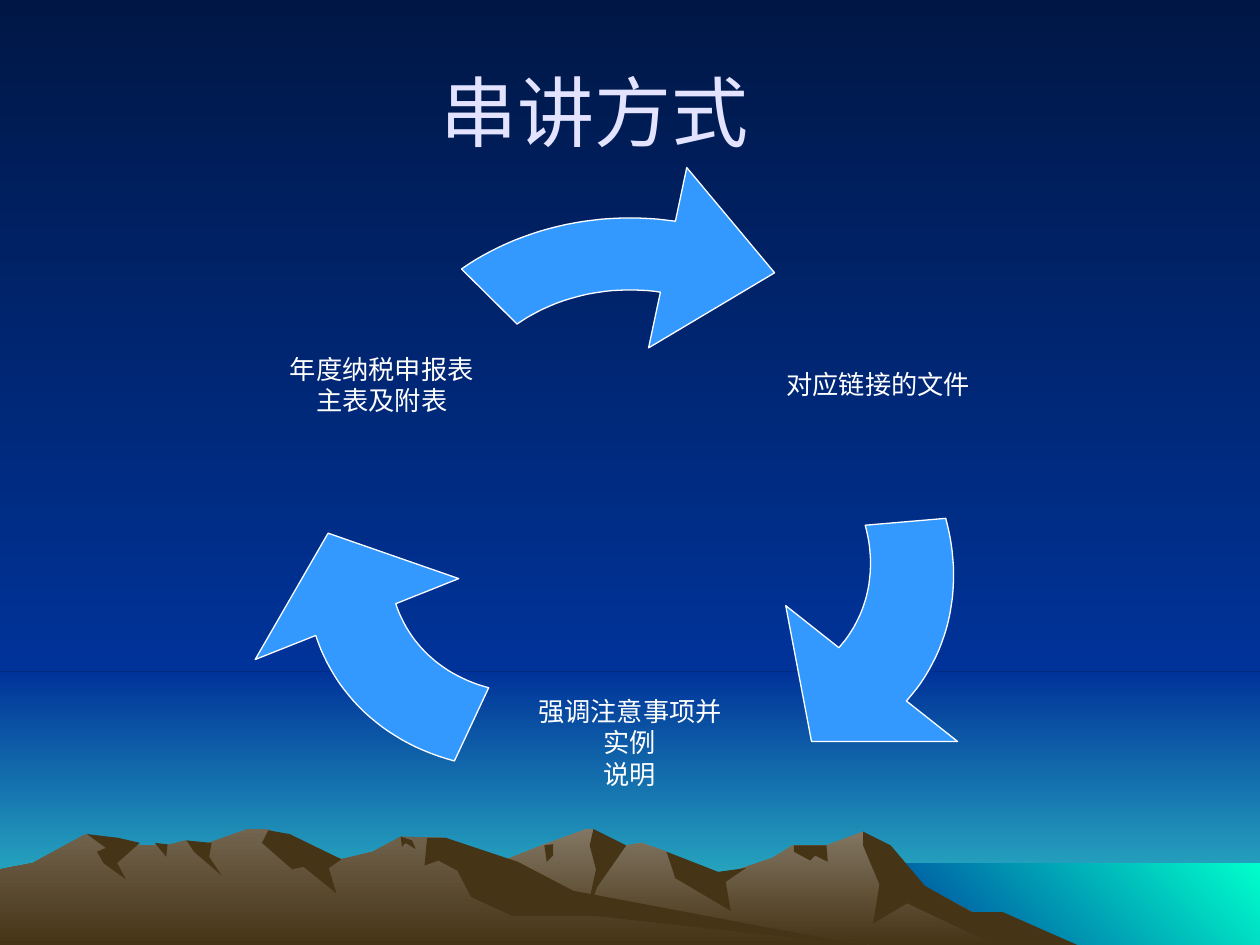
from dataclasses import dataclass
from math import cos, radians, sin

from pptx import Presentation
from pptx.dml.color import RGBColor
from pptx.enum.shapes import MSO_SHAPE
from pptx.enum.text import MSO_ANCHOR, PP_ALIGN
from pptx.util import Inches, Pt

RECTANGLE = MSO_SHAPE.RECTANGLE
CENTER = PP_ALIGN.CENTER
MIDDLE = MSO_ANCHOR.MIDDLE

NIGHT = RGBColor(0x00, 0x17, 0x46)
BLUE = RGBColor(0x00, 0x33, 0x99)
TEAL = RGBColor(0x33, 0xCC, 0xCC)
AQUA = RGBColor(0x00, 0xFF, 0xCC)
SLATE = RGBColor(0x83, 0x77, 0x63)
STONE = RGBColor(0x72, 0x64, 0x4E)
EARTH = RGBColor(0x46, 0x34, 0x16)
ARROW_BLUE = RGBColor(0x33, 0x99, 0xFF)
WHITE = RGBColor(0xFF, 0xFF, 0xFF)
LAVENDER = RGBColor(0xE3, 0xE3, 0xFF)

FONT = "Arial"
WIDTH, HEIGHT = 10, 7.5
HORIZON = 5.33
DOWNWARD = 270
TO_LOWER_LEFT = 225
UNITS = 1000  # outline units per inch

# Arrow outline on its ellipse: angles in degrees, radii as shares of the ellipse
TAIL, NECK, TIP = 130, 80, 53.6
INNER, OUTER = 0.67, 1
BARB_OUT, BARB_IN, TIP_RADIUS = 1.25, 0.41, 0.93
ARC_STEPS = 25
LONG, SHORT = 2.08, 1.73

Point = tuple[float, float]


@dataclass(frozen=True)
class Band:
    left: float
    top: float
    bottom: float
    start: RGBColor
    end: RGBColor
    angle: int = DOWNWARD


@dataclass(frozen=True)
class Ridge:
    points: list[Point]
    top_color: RGBColor = EARTH  # EARTH alone means a flat fill


@dataclass(frozen=True)
class CycleArrow:
    center_x: float
    center_y: float
    radius_x: float
    radius_y: float
    turn: int


@dataclass(frozen=True)
class Label:
    left: float
    top: float
    lines: list[str]
    width: float = 1.66
    height: float = 1.38
    size: int = 15
    color: RGBColor = WHITE
    left_inset: float = 0
    wrap: bool = False


BANDS = [
    Band(0, HORIZON, HEIGHT, BLUE, TEAL),
    Band(0, 0, HORIZON, NIGHT, BLUE),
    Band(6.83, 6.85, HEIGHT, AQUA, BLUE, TO_LOWER_LEFT),
]

RIDGES = [
    # Right-hand range and its shadows
    Ridge([(2.58, HEIGHT), (3.27, 7.09), (4.05, 6.81), (4.3, 6.71), (4.65, 6.58), (4.71, 6.58),
           (4.86, 6.73), (5.09, 6.69), (5.29, 6.76), (5.36, 6.9), (5.66, 6.97), (6.13, 6.81),
           (6.29, 6.71), (6.56, 6.71), (6.85, 6.6), (7.23, 6.98), (8.2, HEIGHT)], SLATE),
    Ridge([(6.85, 6.6), (7.07, 6.71), (7.34, 7.03), (7.71, 7.24), (7.96, 7.24), (8.55, HEIGHT),
           (7.9, HEIGHT), (7.2, 7.17), (6.93, 7.33), (6.98, 7.02), (6.85, 6.71)]),
    Ridge([(4.71, 6.58), (4.97, 6.71), (4.74, 7.04), (4.65, 7.27), (4.73, 6.9), (4.68, 6.71)]),
    Ridge([(5.29, 6.76), (5.7, 6.92), (5.92, 6.89), (5.76, 7), (5.8, 7.23), (5.36, 6.97)]),
    Ridge([(6.3, 6.71), (6.56, 6.71), (6.57, 6.84), (6.47, 6.79), (6.43, 6.83), (6.3, 6.76)]),
    Ridge([(4.32, 6.71), (4.39, 6.7), (4.39, 6.79), (4.34, 6.84)]),
    # Left-hand range and its shadows
    Ridge([(0, HEIGHT), (0, 6.9), (0.26, 6.85), (0.68, 6.62), (0.94, 6.71), (1.32, 6.71),
           (1.48, 6.67), (1.6, 6.71), (1.96, 6.58), (2.12, 6.58), (2.71, 6.82), (2.96, 6.76),
           (3.18, 6.64), (3.54, 6.65), (4.32, 7.12), (6.9, HEIGHT)], STONE),
    Ridge([(2.13, 6.59), (2.3, 6.62), (2.71, 6.82), (2.61, 6.89), (2.67, 7.09), (2.41, 6.88),
           (2.32, 6.9), (2.08, 6.69)]),
    Ridge([(3.39, 6.65), (3.54, 6.65), (4.11, 6.84), (4.55, 7.07), (6.83, HEIGHT), (4.72, 7.27),
           (4.07, 7.27), (3.74, 7.12), (3.63, 6.91), (3.48, 6.83), (3.37, 6.87)]),
    Ridge([(3.18, 6.64), (3.27, 6.67), (3.3, 6.74), (3.22, 6.69), (3.19, 6.72)]),
    Ridge([(1.48, 6.67), (1.68, 6.69), (1.66, 6.8), (1.76, 6.95), (1.54, 6.76)]),
    Ridge([(1.23, 6.69), (1.33, 6.7), (1.32, 6.8)]),
    Ridge([(0.69, 6.62), (0.94, 6.65), (1.11, 6.69), (0.93, 6.85), (1, 6.98), (0.82, 6.85),
           (0.77, 6.76), (0.84, 6.73)]),
]

ARROWS = [
    CycleArrow(5, 3.46, LONG, SHORT, 0),
    CycleArrow(5.57, 4.28, SHORT, LONG, 120),
    CycleArrow(4.43, 4.28, SHORT, LONG, 240),
]

LABELS = [
    Label(0, 0.25, ["串讲方式"], 9, 1.25, 44, LAVENDER, left_inset=0.44, wrap=True),
    Label(6.14, 2.36, ["对应链接的文件"]),
    Label(4.17, 5.2, ["强调注意事项并实例", "说明"]),
    Label(2.2, 2.36, ["年度纳税申报表", "主表及附表"]),
]


def set_gradient(fill, start: RGBColor, end: RGBColor, angle: int) -> None:
    fill.gradient()
    fill.gradient_angle = angle
    for stop, color in zip(fill.gradient_stops, (start, end)):
        stop.color.rgb = color


def draw_band(page, band: Band) -> None:
    box = page.shapes.add_shape(RECTANGLE, Inches(band.left), Inches(band.top),
                                Inches(WIDTH - band.left), Inches(band.bottom - band.top))
    box.shadow.inherit = False
    box.line.fill.background()
    set_gradient(box.fill, band.start, band.end, band.angle)


def draw_outline(page, points: list[Point]):
    scaled = [(x * UNITS, y * UNITS) for x, y in points]
    builder = page.shapes.build_freeform(*scaled[0], scale=Inches(1) / UNITS)
    builder.add_line_segments(scaled[1:], close=True)
    shape = builder.convert_to_shape()
    shape.shadow.inherit = False
    return shape


def draw_ridge(page, ridge: Ridge) -> None:
    shape = draw_outline(page, ridge.points)
    shape.line.fill.background()
    if ridge.top_color == EARTH:
        shape.fill.solid()
        shape.fill.fore_color.rgb = EARTH
    else:
        set_gradient(shape.fill, ridge.top_color, EARTH, DOWNWARD)


def arrow_points(arrow: CycleArrow) -> list[Point]:
    turn = radians(arrow.turn)

    def place(radius: float, degrees: float) -> Point:
        x = arrow.radius_x * radius * cos(radians(degrees))
        y = -arrow.radius_y * radius * sin(radians(degrees))
        return (arrow.center_x + x * cos(turn) - y * sin(turn),
                arrow.center_y + x * sin(turn) + y * cos(turn))

    angles = [NECK + (TAIL - NECK) * i / ARC_STEPS for i in range(ARC_STEPS + 1)]
    inner_arc = [place(INNER, angle) for angle in angles]
    outer_arc = [place(OUTER, angle) for angle in reversed(angles)]
    head = [place(BARB_OUT, NECK), place(TIP_RADIUS, TIP), place(BARB_IN, NECK)]
    return inner_arc + outer_arc + head


def draw_arrow(page, arrow: CycleArrow) -> None:
    shape = draw_outline(page, arrow_points(arrow))
    shape.fill.solid()
    shape.fill.fore_color.rgb = ARROW_BLUE
    shape.line.color.rgb = WHITE
    shape.line.width = Pt(0.75)


def draw_label(page, label: Label) -> None:
    box = page.shapes.add_textbox(Inches(label.left), Inches(label.top),
                                  Inches(label.width), Inches(label.height))
    frame = box.text_frame
    frame.word_wrap = label.wrap
    frame.vertical_anchor = MIDDLE
    frame.margin_left = Inches(label.left_inset)
    frame.margin_right = frame.margin_top = frame.margin_bottom = 0
    frame.text = "\n".join(label.lines)
    for para in frame.paragraphs:
        para.alignment = CENTER
        para.font.name = FONT
        para.font.size = Pt(label.size)
        para.font.color.rgb = label.color


def main() -> None:
    deck = Presentation()
    deck.slide_width, deck.slide_height = Inches(WIDTH), Inches(HEIGHT)
    page = deck.slides.add_slide(deck.slide_layouts[6])
    set_gradient(page.background.fill, NIGHT, BLUE, DOWNWARD)

    # Landscape first, then the cycle and its text
    for draw, items in ((draw_band, BANDS), (draw_ridge, RIDGES),
                        (draw_arrow, ARROWS), (draw_label, LABELS)):
        for item in items:
            draw(page, item)
    deck.save("out.pptx")


if __name__ == "__main__":
    main()
